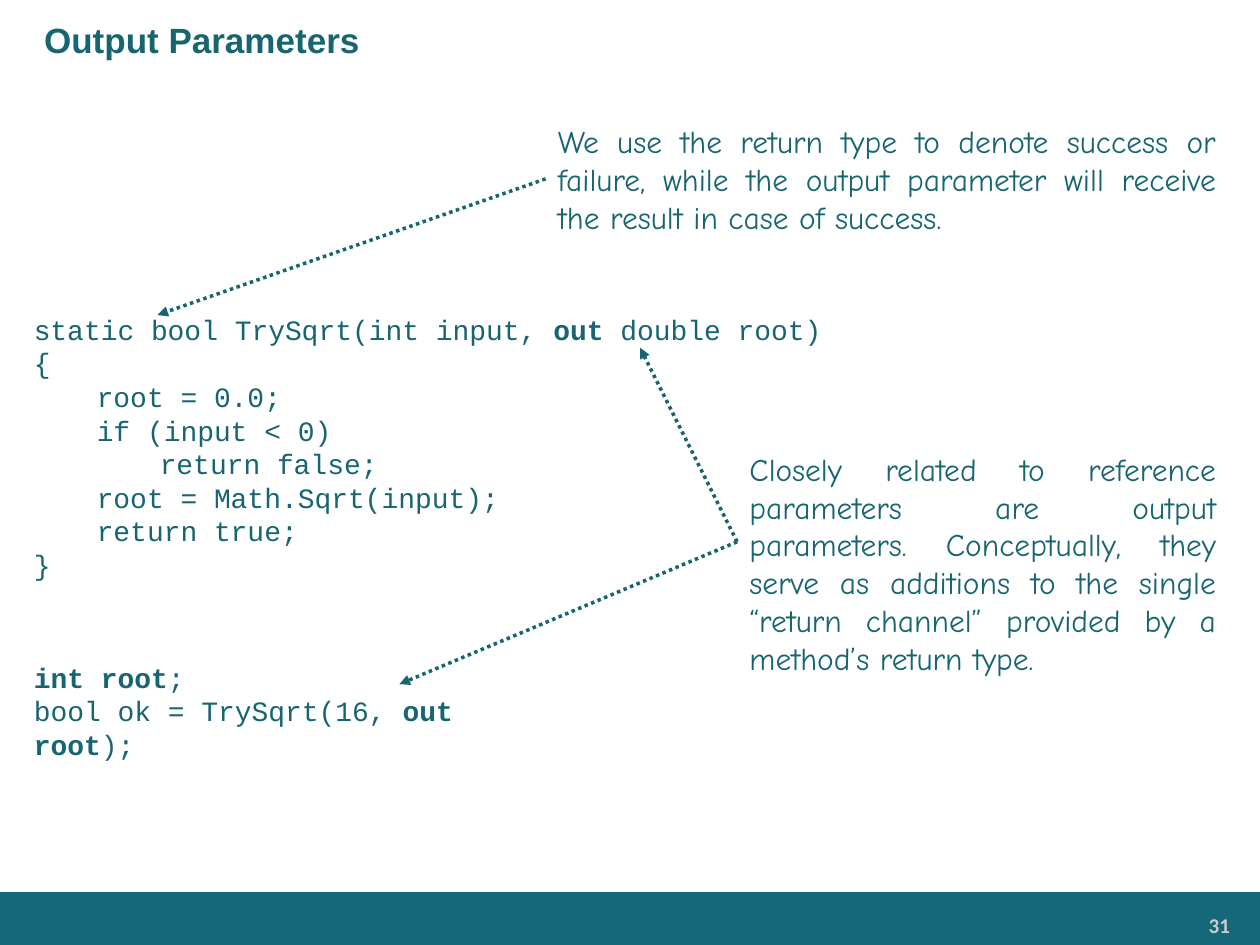
from typing import NamedTuple

from lxml import etree
from pptx import Presentation
from pptx import util as u
from pptx.dml.color import RGBColor
from pptx.enum import dml, shapes, text
from pptx.oxml.ns import qn

COLS, ROWS = 100, 75
TEAL, BAR, GREY = "176571", "146878", "CCCCCC"
CODE, NOTE = "Courier New", "Comic Neue"

prs = Presentation()
prs.slide_width, prs.slide_height = u.Inches(10), u.Inches(7.5)


class Run(NamedTuple):
    text: str
    bold: bool = False


class Box(NamedTuple):
    """Text block placed in grid columns and rows."""
    col: float
    row: float
    cols: float
    rows: float
    lines: list[list[Run]]
    font: str
    size: int
    align: text.PP_ALIGN = text.PP_ALIGN.LEFT
    color: str = TEAL


class Arrow(NamedTuple):
    start: tuple[float, float]
    end: tuple[float, float]


def x(col: float) -> int:
    return round(prs.slide_width * col / COLS)


def y(row: float) -> int:
    return round(prs.slide_height * row / ROWS)


def rgb(color: str) -> RGBColor:
    return RGBColor.from_string(color)


def fill_text(tf, box: Box) -> None:
    tf.word_wrap = True
    for i, line in enumerate(box.lines):
        p = tf.add_paragraph() if i else tf.paragraphs[0]
        p.alignment = box.align
        for part in line:
            r = p.add_run()
            r.text = part.text
            r.font.name, r.font.size, r.font.bold = box.font, u.Pt(box.size), part.bold
            r.font.color.rgb = rgb(box.color)


def place(sp, box: Box) -> None:
    sp.left, sp.top, sp.width, sp.height = x(box.col), y(box.row), x(box.cols), y(box.rows)


def add_box(s, box: Box) -> None:
    sp = s.shapes.add_textbox(0, 0, 0, 0)
    place(sp, box)
    fill_text(sp.text_frame, box)


def add_title(s, box: Box) -> None:
    sp = s.shapes.title
    place(sp, box)
    tf = sp.text_frame
    fill_text(tf, box)
    tf.vertical_anchor = text.MSO_ANCHOR.MIDDLE
    tf.margin_left = u.Inches(0.35)


def add_bar(s) -> None:
    sp = s.shapes.add_shape(shapes.MSO_SHAPE.RECTANGLE, 0, y(70.8), x(COLS), y(ROWS - 70.8))
    sp.shadow.inherit = False
    sp.fill.solid()
    sp.fill.fore_color.rgb = rgb(BAR)
    sp.line.fill.background()


def add_arrow(s, arrow: Arrow) -> None:
    (x1, y1), (x2, y2) = arrow
    sp = s.shapes.add_connector(shapes.MSO_CONNECTOR.STRAIGHT, x(x1), y(y1), x(x2), y(y2))
    sp.line.color.rgb = rgb(TEAL)
    sp.line.width = u.Pt(2)
    sp.line.dash_style = dml.MSO_LINE.ROUND_DOT
    etree.SubElement(sp.line._get_or_add_ln(), qn("a:tailEnd"), type="triangle")
    etree.SubElement(sp._element.spPr, qn("a:effectLst"))


TITLE = Box(0, 0, COLS, 6.3, [[Run("Output Parameters", True)]], "Arial", 20)

METHOD = [
    [Run("static bool TrySqrt(int input, "), Run("out", True), Run(" double root)")],
    [Run("{")],
    [Run("\troot = 0.0;")],
    [Run("\tif (input < 0)")],
    [Run("\t\treturn false;")],
    [Run("\troot = Math.Sqrt(input);")],
    [Run("\treturn true;")],
    [Run("}")],
]
CALL = [
    [Run("int root", True), Run(";")],
    [Run("bool ok = TrySqrt(16, "), Run("out root", True), Run(");")],
]
CHANNEL_NOTE = [[Run(
    "Closely related to reference parameters are output parameters. Conceptually, they "
    "serve as additions to the single “return channel” provided by a method’s return type.")]]
RETURN_NOTE = [[Run(
    "We use the return type to denote success or failure, while the output parameter "
    "will receive the result in case of success.")]]

BOXES = [
    Box(82.3, 71.9, 16.3, 2.8, [[Run("31", True)]], "Calibri", 12, text.PP_ALIGN.RIGHT, GREY),
    Box(1.7, 24.3, 96.7, 22.6, METHOD, CODE, 16),
    Box(58.5, 35.2, 39, 19.2, CHANNEL_NOTE, NOTE, 18, text.PP_ALIGN.JUSTIFY),
    Box(1.7, 51.9, 44.2, 6.4, CALL, CODE, 16),
    Box(43.3, 9.2, 54.2, 10.1, RETURN_NOTE, NOTE, 18, text.PP_ALIGN.JUSTIFY),
]

CHANNEL_START = (58.5, 43)
ARROWS = [
    Arrow(CHANNEL_START, (31.7, 54.3)),
    Arrow(CHANNEL_START, (50.8, 27.6)),
    Arrow((43.3, 14.2), (12.5, 25)),
]


def main() -> None:
    s = prs.slides.add_slide(prs.slide_layouts[5])
    add_bar(s)
    add_title(s, TITLE)
    for box in BOXES:
        add_box(s, box)
    for arrow in ARROWS:
        add_arrow(s, arrow)
    prs.save("out.pptx")


if __name__ == "__main__":
    main()
